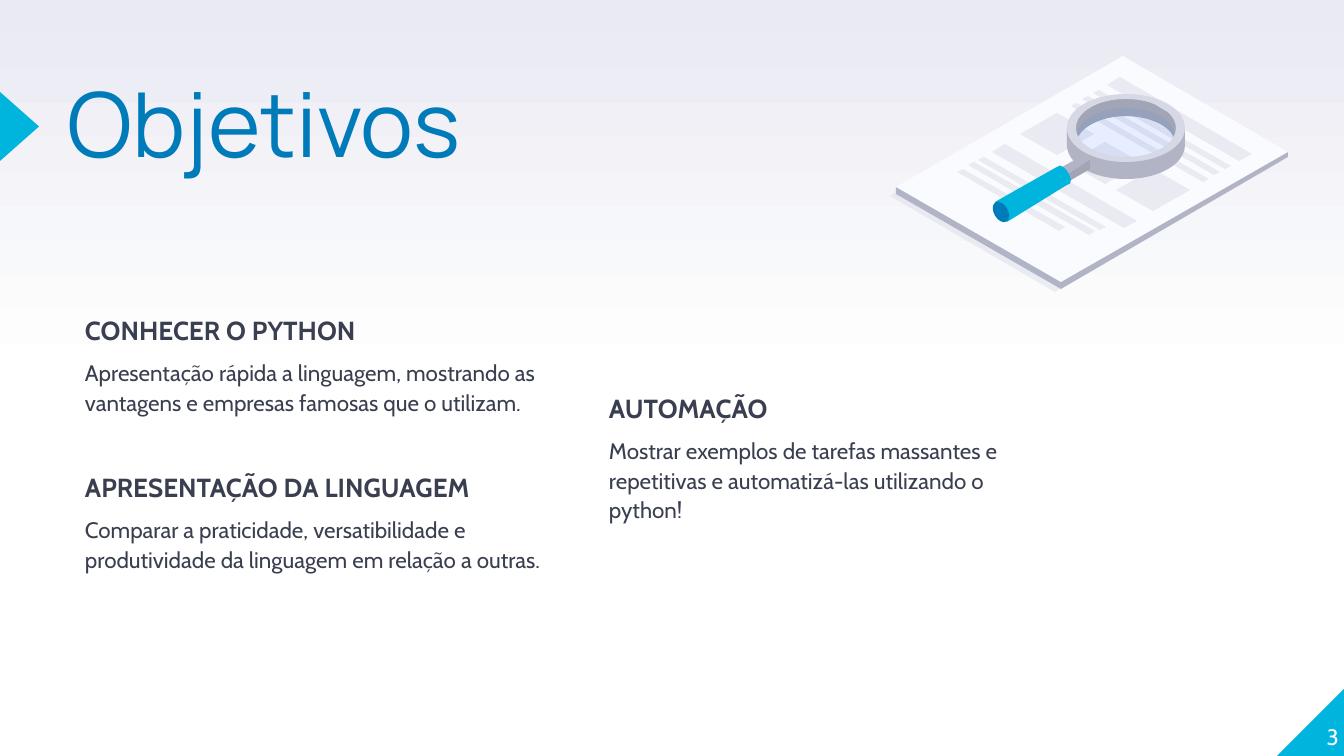
import copy
import math

import pptx
import pptx.dml.color
import pptx.enum.shapes
import pptx.enum.text
import pptx.oxml
import pptx.oxml.ns
import pptx.util

PX = 914400 / 134.4
RGB = pptx.dml.color.RGBColor
WHITE = RGB(0xFF, 0xFF, 0xFF)
BLACK = RGB(0x00, 0x00, 0x00)
CYAN = RGB(0x00, 0xB5, 0xDD)
BLUE = RGB(0x00, 0x7B, 0xB9)
INK = RGB(0x3A, 0x3F, 0x50)
PAPER = RGB(0xFA, 0xFB, 0xFF)
PALE = RGB(0xE9, 0xEA, 0xF2)
SILVER = RGB(0xD6, 0xD8, 0xE5)
GREY = RGB(0xB1, 0xB4, 0xC4)
DARK_GREY = RGB(0xA1, 0xA5, 0xB5)
GLASS = RGB(0x3E, 0x7E, 0xFF)
SLOPE = math.tan(math.radians(30))

deck = pptx.Presentation()
deck.slide_width, deck.slide_height = round(1344 * PX), round(756 * PX)
page = deck.slides.add_slide(deck.slide_layouts[6])

# Background: white up to the middle, pale at the top
fill = page.background.fill
fill.gradient()
fill.gradient_angle = 90
for stop, color, position in zip(fill.gradient_stops, (WHITE, PALE), (0, 1)):
    stop.color.rgb = color
    stop.position = position
stop_list = next(page.background._cSld.iter(pptx.oxml.ns.qn("a:gsLst")))
middle = copy.deepcopy(stop_list[0])
middle.set("pos", "50000")
stop_list.insert(1, middle)

# Corner and title markers
KIND = pptx.enum.shapes.MSO_SHAPE
for kind, x, y, width, height, rotation in (
    (KIND.RIGHT_TRIANGLE, 1277, 687, 69, 69, 0),
    (KIND.ISOSCELES_TRIANGLE, -15, 107, 69, 39, 90),
):
    marker = page.shapes.add_shape(
        kind, *(round(v * PX) for v in (x, y, width, height)))
    marker.shadow.inherit = False
    marker.fill.solid()
    marker.fill.fore_color.rgb = CYAN
    marker.line.fill.background()
    marker.rotation = rotation
    if kind == KIND.RIGHT_TRIANGLE:
        marker._element.spPr.xfrm.set("flipH", "1")

# Text: each paragraph is (wording, size, bold, space before)
ALIGN = pptx.enum.text.PP_ALIGN
ANCHOR = pptx.enum.text.MSO_ANCHOR
TOP_LEFT = (ALIGN.LEFT, ANCHOR.TOP)
text_boxes = (
    (68, 89, 829, 159, "Manrope", BLUE, 0.8, TOP_LEFT,
     [("Objetivos", 48, False, 0)]),
    (609, 389, 448, 155, "Cabin", INK, 1.1, TOP_LEFT,
     [("AUTOMAÇÃO", 14, True, 0),
      ("Mostrar exemplos de tarefas massantes e repetitivas e "
       "automatizá-las utilizando o python!", 12, False, 6)]),
    (85, 311, 470, 370, "Cabin", INK, 1.1, TOP_LEFT,
     [("CONHECER O PYTHON", 14, True, 0),
      ("Apresentação rápida a linguagem, mostrando as vantagens e "
       "empresas famosas que o utilizam.", 12, False, 6),
      ("APRESENTAÇÃO DA LINGUAGEM", 14, True, 28),
      ("Comparar a praticidade, versatibilidade e produtividade da "
       "linguagem em relação a outras.", 12, False, 6)]),
    (1272, 681, 67, 69, "Cabin", WHITE, 1.0, (ALIGN.RIGHT, ANCHOR.BOTTOM),
     [("3", 12, False, 0)]),
)
for x, y, width, height, font, color, spacing, (align, anchor), lines in text_boxes:
    box = page.shapes.add_textbox(*(round(v * PX) for v in (x, y, width, height)))
    frame = box.text_frame
    frame.word_wrap = True
    frame.vertical_anchor = anchor
    frame.margin_left = frame.margin_right = 0
    frame.margin_top = frame.margin_bottom = 0
    frame.text = "\n".join(line[0] for line in lines)
    for para, (_, size, bold, before) in zip(frame.paragraphs, lines):
        para.alignment = align
        para.line_spacing = spacing
        para.space_before = pptx.util.Pt(before)
        for span in para.runs:
            span.font.name = font
            span.font.size = pptx.util.Pt(size)
            span.font.bold = bold
            span.font.color.rgb = color

# Sheet of paper with a magnifying glass
drawing = page.shapes.add_group_shape()


def outline(color, *contours, opacity=100):
    """Fill contours of points (x, y) and Bézier steps (x1, y1, x2, y2, x, y)."""
    builder = drawing.shapes.build_freeform(*contours[0][0], scale=PX)
    for number, (start, *steps) in enumerate(contours):
        if number:
            builder.move_to(*start)
        builder.add_line_segments(
            [step[i:i + 2] for step in steps for i in range(0, len(step), 2)])
    shape = builder.convert_to_shape()
    properties = shape._element.spPr
    segments = list(properties.iter(pptx.oxml.ns.qn("a:lnTo")))
    for step in (step for contour in contours for step in contour[1:]):
        count = len(step) // 2
        if count == 3:
            curve = pptx.oxml.parse_xml(
                f'<a:cubicBezTo {pptx.oxml.ns.nsdecls("a")}/>')
            segments[0].addprevious(curve)
            for segment in segments[:3]:
                curve.append(segment[0])
                segment.getparent().remove(segment)
        del segments[:count]
    shape.shadow.inherit = False
    shape.fill.solid()
    shape.fill.fore_color.rgb = color
    shape.line.fill.background()
    if opacity < 100:
        tint = next(properties.iter(pptx.oxml.ns.qn("a:srgbClr")))
        tint.append(pptx.oxml.parse_xml(
            f'<a:alpha {pptx.oxml.ns.nsdecls("a")} val="{opacity * 1000}"/>'))
    return shape


def arc(x, y, rx, ry, start=0, end=360):
    """Start point and Bézier steps of an ellipse arc, clockwise from the right."""
    count = math.ceil(abs(end - start) / 90)
    sweep = math.radians(end - start) / count
    pull = 4 / 3 * math.tan(sweep / 4)
    a = math.radians(start)
    steps = [(x + rx * math.cos(a), y + ry * math.sin(a))]
    for _ in range(count):
        b = a + sweep
        steps.append((
            x + rx * (math.cos(a) - pull * math.sin(a)),
            y + ry * (math.sin(a) + pull * math.cos(a)),
            x + rx * (math.cos(b) + pull * math.sin(b)),
            y + ry * (math.sin(b) - pull * math.cos(b)),
            x + rx * math.cos(b), y + ry * math.sin(b)))
        a = b
    return steps


outline(SILVER, [(1055, 292), (890, 196), (1117, 66), (1282, 161)], opacity=40)
outline(GREY, [(1282, 155), (1123, 62), (902, 190), (896, 187), (896, 194),
               (1061, 289), (1288, 157), (1288, 152)])
outline(PAPER, [(1061, 282), (896, 187), (1123, 56), (1288, 152)])

# Printed blocks: left corner, thickness and length along the page slope
for x, y, thick, length in (
    (1107, 85, 13, 132), (1093, 93, 6, 132), (1082, 99, 6, 132), (1071, 106, 6, 132),
    (992, 152, 13, 132), (978, 160, 6, 122), (968, 165, 6, 121), (957, 172, 6, 102),
    (1020, 134, 37, 37), (1068, 163, 37, 37), (1116, 190, 37, 37),
):
    outline(PALE, [
        (x, y),
        (x + thick, y - thick * SLOPE),
        (x + thick + length, y + (length - thick) * SLOPE),
        (x + length, y + length * SLOPE),
    ])

# Lens
outline(GREY, arc(1126, 145, 59, 34), arc(1126, 145, 50, 29))
outline(DARK_GREY, arc(1126, 145, 50, 29, -16, -164) + [
    (1075, 129), (1074, 128), (1081, 112), (1103, 98), (1146, 99),
    (1176, 117), (1176, 128)])
outline(GREY, [(1067, 145), (1067, 128), (1077, 142)])
outline(GREY, [(1185, 145), (1185, 128), (1177, 136)])
outline(GLASS, arc(1126, 136, 49, 28), opacity=10)
outline(GREY, [(1071, 148), (1071, 148, 1079, 179, 1136, 176),
               (1175, 176, 1180, 142, 1179, 138),
               (1171, 149, 1159, 156, 1144, 157),
               (1121, 160, 1103, 159, 1093, 155),
               (1083, 151, 1071, 138, 1071, 138)])
outline(SILVER, arc(1126, 128, 59, 34), arc(1126, 128, 50, 29))

# Handle
handle_end = arc(1001, 212, 7, 11)
outline(BLACK, handle_end, opacity=10).rotation = 330
outline(GREY, [(1090, 160), (1066, 175), (1058, 169), (1083, 156)])
outline(DARK_GREY, [(1090, 169), (1066, 183), (1066, 175), (1090, 160)])
outline(CYAN, [(1071, 180), (1070, 175, 1067, 169, 1063, 167),
               (1061, 165, 1059, 165, 1057, 167), (995, 202), (1007, 222),
               (1067, 185), (1070, 185, 1071, 183, 1071, 180)])
outline(BLUE, handle_end).rotation = 330

deck.save("out.pptx")
